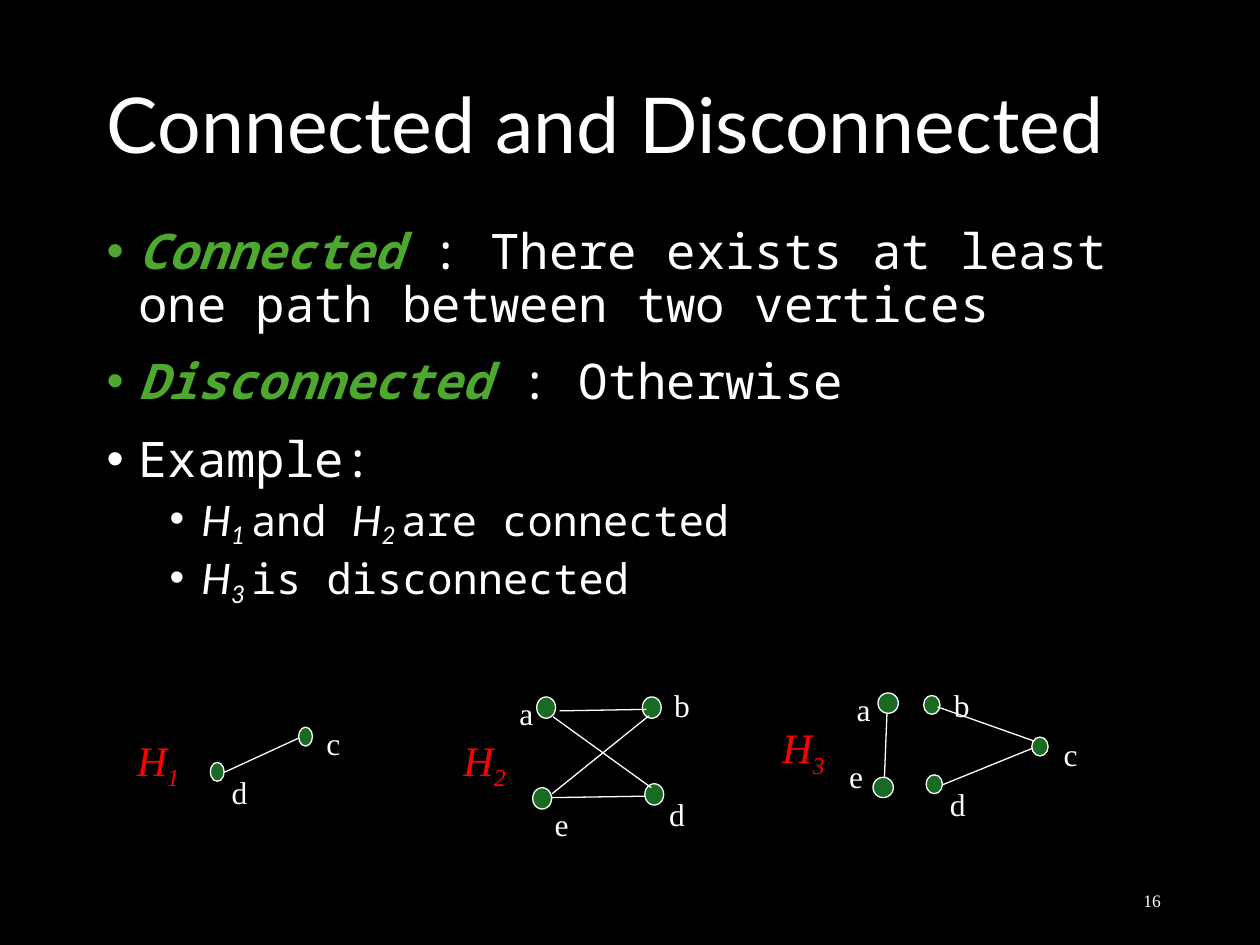
from dataclasses import dataclass
from lxml import etree
from pptx import Presentation
from pptx import util as u
from pptx.dml.color import RGBColor
from pptx.enum import shapes, text
from pptx.oxml import ns


@dataclass
class Theme:
    background: RGBColor = RGBColor(0x00, 0x00, 0x00)
    ink: RGBColor = RGBColor(0xFF, 0xFF, 0xFF)
    accent: RGBColor = RGBColor(0x4E, 0xA7, 0x2E)
    vertex: RGBColor = RGBColor(0x19, 0x6B, 0x24)
    graph_name: RGBColor = RGBColor(0xFF, 0x00, 0x00)
    sans: str = "Lato"
    mono: str = "Noto Sans Mono"
    serif: str = "Times New Roman"
    title_size: int = 44
    body_size: int = 28
    detail_size: int = 24
    label_size: int = 18
    number_size: int = 10
    line_width: float = 0.75


theme = Theme()


def add_text_box(left, top, width, height):
    box = slide.shapes.add_textbox(u.Cm(left), u.Cm(top), u.Cm(width), u.Cm(height))
    box.text_frame.word_wrap = True
    return box.text_frame


def style(paragraph, name, size, color):
    paragraph.font.name = name
    paragraph.font.size = u.Pt(size)
    paragraph.font.color.rgb = color


presentation = Presentation()
presentation.slide_width = u.Cm(25.4)
presentation.slide_height = u.Cm(19.05)
slide = presentation.slides.add_slide(presentation.slide_layouts[5])
slide.background.fill.solid()
slide.background.fill.fore_color.rgb = theme.background

title = slide.shapes.title
title.left, title.top, title.width, title.height = u.Cm(1.9), u.Cm(1.35), u.Cm(21.6), u.Cm(2.5)
title.text_frame.text = "Connected and Disconnected"
title.text_frame.auto_size = text.MSO_AUTO_SIZE.NONE
title.text_frame.vertical_anchor = text.MSO_ANCHOR.MIDDLE
heading = title.text_frame.paragraphs[0]
heading.alignment = text.PP_ALIGN.LEFT
heading.line_spacing = 0.9
style(heading, theme.sans, theme.title_size, theme.ink)

bullets = [
    (0, 0, theme.accent, [("Connected ", "term"), (": There exists at least one path between two vertices", "")]),
    (0, 14, theme.accent, [("Disconnected ", "term"), (": Otherwise", "")]),
    (0, 14, theme.ink, [("Example:", "")]),
    (1, 5, theme.ink, [("H", "symbol"), ("1 ", "index"), ("and ", ""), ("H", "symbol"), ("2 ", "index"),
                       ("are connected", "")]),
    (1, 5, theme.ink, [("H", "symbol"), ("3 ", "index"), ("is disconnected", "")]),
]
body = add_text_box(1.9, 4.45, 21.6, 12.93)
for position, (level, space, bullet_color, pieces) in enumerate(bullets):
    paragraph = body.add_paragraph() if position else body.paragraphs[0]
    paragraph.level = level
    properties = paragraph._p.get_or_add_pPr()
    properties.set("marL", str(u.Cm(0.64 + 1.27 * level)))
    properties.set("indent", str(-u.Cm(0.64)))
    color = etree.SubElement(properties, ns.qn("a:buClr"))
    etree.SubElement(color, ns.qn("a:srgbClr"), val=str(bullet_color))
    etree.SubElement(properties, ns.qn("a:buFont"), typeface="Arial")
    etree.SubElement(properties, ns.qn("a:buChar"), char="•")
    paragraph.line_spacing = 0.9
    paragraph.space_before = u.Pt(space)
    style(paragraph, theme.mono, theme.detail_size if level else theme.body_size, theme.ink)
    for words, role in pieces:
        run = paragraph.add_run()
        run.text = words
        if role:
            run.font.italic = True
        if role == "term":
            run.font.bold = True
            run.font.color.rgb = theme.accent
        if role in ("symbol", "index"):
            run.font.name = theme.sans
        if role == "index":
            run.font._element.set("baseline", "-20000")

number = add_text_box(17.93, 17.65, 5.72, 1.02)
number.vertical_anchor = text.MSO_ANCHOR.MIDDLE
number.text = "16"
number.paragraphs[0].alignment = text.PP_ALIGN.RIGHT
style(number.paragraphs[0], theme.serif, theme.number_size, theme.ink)

graphs = [
    dict(vertex_size=(0.28, 0.38),
         vertices=[(4.24, 15.37), (6.02, 14.66)],
         edges=[(4.52, 15.57, 6.02, 14.88)],
         labels=[("c", 6.3, 14.45), ("d", 4.39, 15.44)]),
    dict(vertex_size=(0.38, 0.43),
         vertices=[(10.82, 14.05), (10.74, 15.88), (12.95, 14.05), (13, 15.8)],
         edges=[(11.13, 16.08, 13, 16.05), (11.28, 14.33, 13.03, 14.3),
                (11.13, 16, 13.08, 14.43), (11.15, 14.45, 13.13, 15.88)],
         labels=[("a", 10.19, 13.84), ("b", 13.31, 13.67), ("d", 13.21, 15.88), ("e", 10.9, 16.08)]),
    dict(vertex_size=(0.41, 0.41),
         vertices=[(17.7, 13.97), (17.6, 15.67)],
         edges=[(17.88, 14.38, 17.83, 15.67)],
         labels=[("a", 16.99, 13.77), ("e", 16.84, 15.12)]),
    dict(vertex_size=(0.33, 0.38),
         vertices=[(18.62, 14.02), (18.67, 15.62), (20.8, 14.86)],
         edges=[(19, 15.82, 20.8, 15.09), (18.9, 14.25, 20.85, 14.94)],
         labels=[("b", 18.95, 13.67), ("c", 21.16, 14.66), ("d", 18.87, 15.67)]),
]
for graph in graphs:
    width, height = graph["vertex_size"]
    for left, top in graph["vertices"]:
        vertex = slide.shapes.add_shape(shapes.MSO_SHAPE.OVAL, u.Cm(left), u.Cm(top), u.Cm(width), u.Cm(height))
        vertex.shadow.inherit = False
        vertex.fill.solid()
        vertex.fill.fore_color.rgb = theme.vertex
        vertex.line.color.rgb = theme.ink
        vertex.line.width = u.Pt(theme.line_width)
    for ends in graph["edges"]:
        edge = slide.shapes.add_connector(shapes.MSO_CONNECTOR.STRAIGHT, *[u.Cm(end) for end in ends])
        edge.line.color.rgb = theme.ink
        edge.line.width = u.Pt(theme.line_width)
        etree.SubElement(edge._element.spPr, ns.qn("a:effectLst"))
    for letter, left, top in graph["labels"]:
        label = add_text_box(left, top, 1.02, 1.04)
        label.margin_left = label.margin_right = u.Cm(0.28)
        label.margin_top = label.margin_bottom = u.Cm(0.15)
        label.text = letter
        style(label.paragraphs[0], theme.serif, theme.label_size, theme.ink)

for index, left, top in [("1", 2.51, 14.68), ("2", 9.09, 14.68), ("3", 15.52, 14.43)]:
    paragraph = add_text_box(left, top, 2.57, 1.42).paragraphs[0]
    style(paragraph, theme.serif, theme.detail_size, theme.graph_name)
    paragraph.font.italic = True
    paragraph.add_run().text = "H"
    subscript = paragraph.add_run()
    subscript.text = index
    subscript.font._element.set("baseline", "-25000")

presentation.save("out.pptx")
